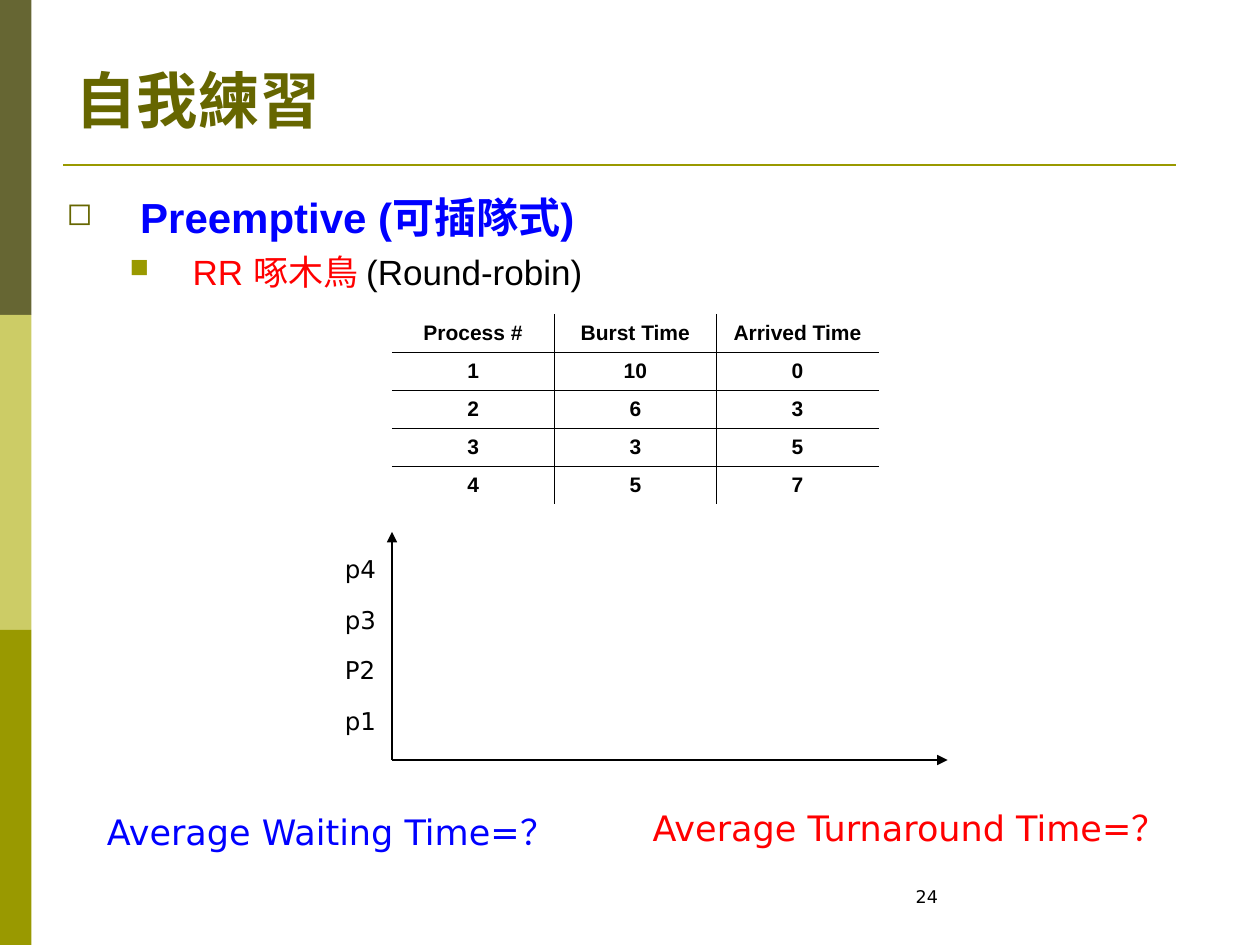
from lxml.etree import SubElement
from pptx import Presentation
from pptx.dml.color import RGBColor
from pptx.enum.shapes import MSO_CONNECTOR, MSO_SHAPE
from pptx.enum.text import MSO_ANCHOR, MSO_AUTO_SIZE, PP_ALIGN
from pptx.oxml.ns import qn
from pptx.util import Pt

BLACK = RGBColor(0, 0, 0)
BLUE = RGBColor(0, 0, 0xFF)
RED = RGBColor(0xFF, 0, 0)
DARK_OLIVE = RGBColor(0x66, 0x66, 0x33)
TITLE_OLIVE = RGBColor(0x66, 0x66, 0)
LIGHT_OLIVE = RGBColor(0xCC, 0xCC, 0x66)
OLIVE = RGBColor(0x99, 0x99, 0)
SANS = "DejaVu Sans"

# Content
TITLE = "自我練習"
# runs (text, colour), size, bold, indent, hanging, space before, bullet, bullet colour
OUTLINE = [
    ([("Preemptive (可插隊式)", BLUE)], 24, True, 42, 42, 6, "◻", TITLE_OLIVE),
    ([("RR 啄木鳥 ", RED), ("(Round-robin)", BLACK)], 20, False, 72, 36, 5, "■", OLIVE),
]
PROCESSES = [
    ("Process #", "Burst Time", "Arrived Time"),
    ("1", "10", "0"),
    ("2", "6", "3"),
    ("3", "3", "5"),
    ("4", "5", "7"),
]
AXIS_LABELS = ["p4", "p3", "P2", "p1"]
# text, box, size, colour, space before
NOTES = [
    ("Average Waiting Time=？", (54, 459.4, 459, 32), 20, BLUE, 12.5),
    ("Average Turnaround Time=？", (365.8, 457.2, 317.5, 32), 20, RED, 12.5),
    ("24", (516.2, 502.6, 168, 25), 10, BLACK, 0),
]


def write(p, text, size=12, color=BLACK, font="Arial", bold=False,
          before=0, spacing=None, align=PP_ALIGN.LEFT):
    p.alignment = align
    p.space_before = Pt(before)
    if spacing:
        p.line_spacing = spacing
    r = p.add_run()
    r.text = text
    r.font.size = Pt(size)
    r.font.name = font
    r.font.bold = bold
    r.font.color.rgb = color


def add_box(s, box):
    tf = s.shapes.add_textbox(*map(Pt, box)).text_frame
    tf.word_wrap = True
    return tf


def paragraph(tf, i):
    return tf.add_paragraph() if i else tf.paragraphs[0]


def add_bullet(p, char, color, indent, hanging):
    pPr = p._p.get_or_add_pPr()
    pPr.set("marL", str(Pt(indent)))
    pPr.set("indent", str(-Pt(hanging)))
    clr = SubElement(pPr, qn("a:buClr"))
    SubElement(clr, qn("a:srgbClr"), val=str(color))
    SubElement(pPr, qn("a:buSzPct"), val="75000")
    SubElement(pPr, qn("a:buChar"), char=char)


def add_line(s, start, end, color, width, arrow=False):
    c = s.shapes.add_connector(MSO_CONNECTOR.STRAIGHT, *map(Pt, start + end))
    c.line.color.rgb = color
    c.line.width = Pt(width)
    if arrow:
        SubElement(c.line._get_or_add_ln(), qn("a:tailEnd"), type="triangle")
    SubElement(c._element.spPr, qn("a:effectLst"))


def set_borders(cell, sides):
    tcPr = cell._tc.get_or_add_tcPr()
    for side in "LRTB":
        ln = SubElement(tcPr, qn("a:ln" + side), w=str(Pt(0.45)))
        if side in sides:
            fill = SubElement(ln, qn("a:solidFill"))
            SubElement(fill, qn("a:srgbClr"), val=str(BLACK))
        else:
            SubElement(ln, qn("a:noFill"))


def main():
    prs = Presentation()
    prs.slide_width, prs.slide_height = Pt(720), Pt(540)
    s = prs.slides.add_slide(prs.slide_layouts[5])

    # Side bands and title rule
    for i, color in enumerate([DARK_OLIVE, LIGHT_OLIVE, OLIVE]):
        sp = s.shapes.add_shape(MSO_SHAPE.RECTANGLE, 0, Pt(180 * i), Pt(18), Pt(180))
        sp.shadow.inherit = False
        sp.fill.solid()
        sp.fill.fore_color.rgb = color
        sp.line.fill.background()
    add_line(s, (36, 94.3), (671.8, 94.3), OLIVE, 1.5)

    # Title
    title = s.shapes.title
    title.left, title.top, title.width, title.height = map(Pt, (36, 31.7, 658.8, 49.7))
    tf = title.text_frame
    tf.auto_size = MSO_AUTO_SIZE.NONE
    tf.vertical_anchor = MSO_ANCHOR.BOTTOM
    write(tf.paragraphs[0], TITLE, size=35, color=TITLE_OLIVE, bold=True)

    # Outline
    tf = add_box(s, (31, 105.8, 658, 385))
    for i, (runs, size, bold, indent, hanging, before, char, color) in enumerate(OUTLINE):
        p = paragraph(tf, i)
        for text, run_color in runs:
            write(p, text, size=size, color=run_color, bold=bold, before=before)
        add_bullet(p, char, color, indent, hanging)

    # Process table, ruled on the inside only
    n_rows, n_cols = len(PROCESSES), len(PROCESSES[0])
    table = s.shapes.add_table(n_rows, n_cols, Pt(224), Pt(179.4),
                               Pt(92.7 * n_cols), Pt(21.75 * n_rows)).table
    table.first_row = table.horz_banding = False
    for i, row in enumerate(PROCESSES):
        for j, text in enumerate(row):
            cell = table.cell(i, j)
            inner = {"L": j > 0, "R": j < n_cols - 1, "T": i > 0, "B": i < n_rows - 1}
            set_borders(cell, [side for side in inner if inner[side]])
            cell.fill.background()
            cell.vertical_anchor = MSO_ANCHOR.MIDDLE
            write(cell.text_frame.paragraphs[0], text, bold=True, before=3,
                  align=PP_ALIGN.CENTER)

    # Empty Gantt chart axes and labels
    origin = (224, 434.3)
    for end in [(224, 304), (541.5, 434.3)]:
        add_line(s, origin, end, BLACK, 0.75, arrow=True)
    tf = add_box(s, (190, 309.6, 41, 114.5))
    for i, label in enumerate(AXIS_LABELS):
        write(paragraph(tf, i), label, size=14, font=SANS, before=8.8, spacing=1.2)

    # Questions and page number
    for text, box, size, color, before in NOTES:
        write(add_box(s, box).paragraphs[0], text, size=size, color=color,
              font=SANS, before=before)

    prs.save("out.pptx")


if __name__ == "__main__":
    main()
